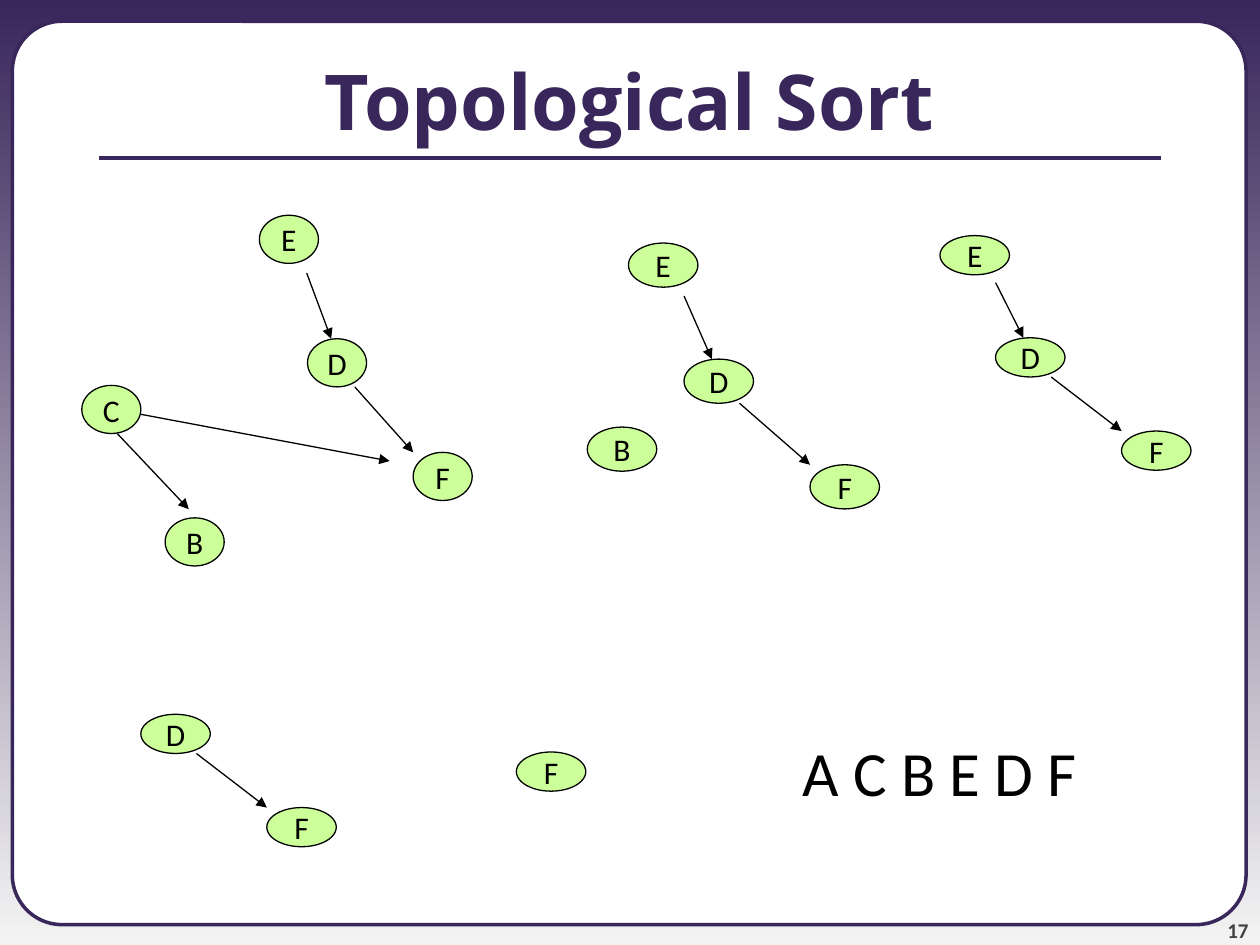
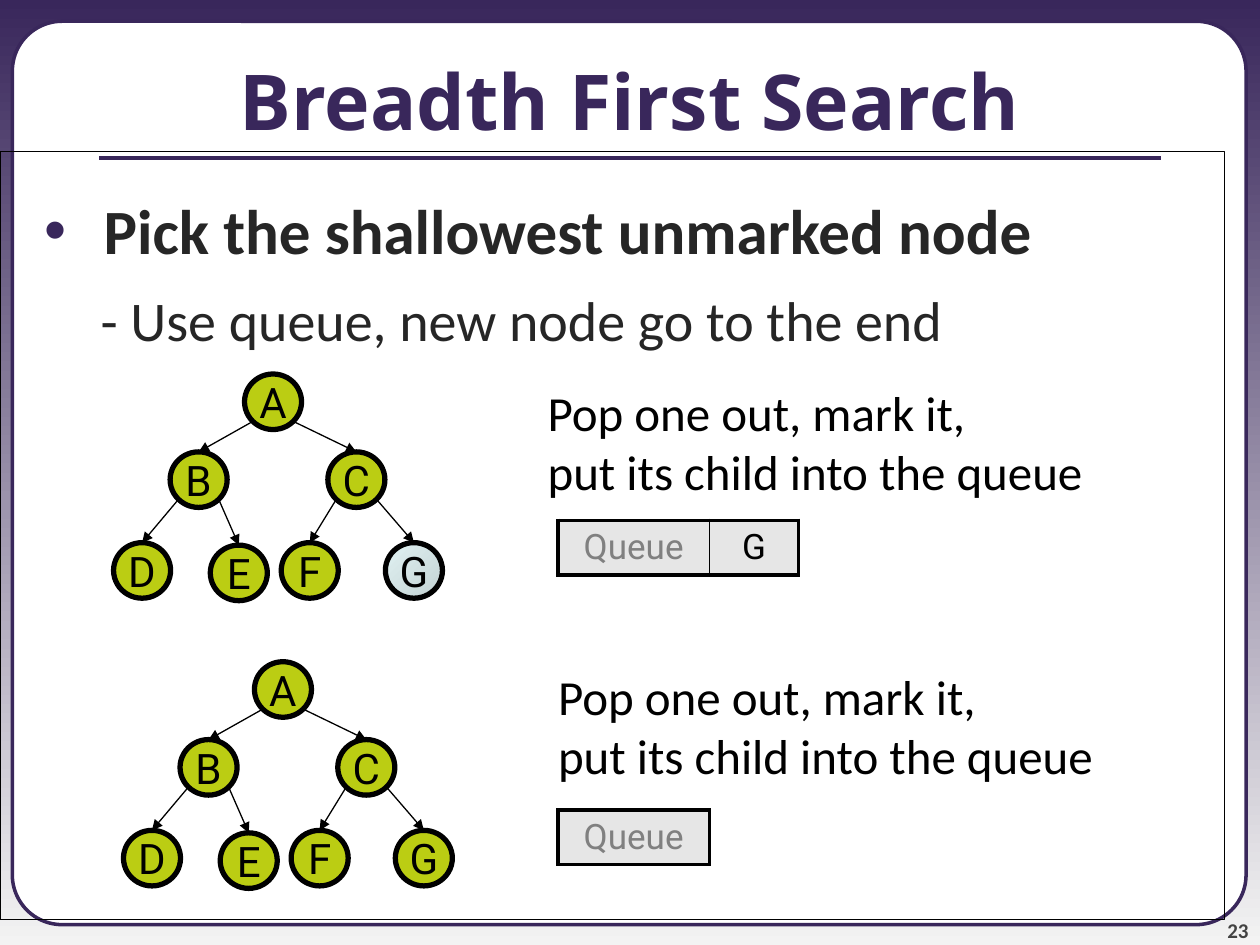
from dataclasses import dataclass

from lxml import etree
from pptx import Presentation
from pptx import util as u
from pptx.dml.color import RGBColor
from pptx.enum import shapes, text
from pptx.oxml import ns


@dataclass(frozen=True)
class Theme:
    purple: str = "39275B"
    pale: str = "F3F3F3"
    white: str = "FFFFFF"
    black: str = "000000"
    ink: str = "262626"
    number: str = "424242"
    grey: str = "808080"
    cell: str = "E6E6E6"
    mint: str = "CCFF99"
    lime: str = "BBCD13"
    waiting: tuple = ("E1F2F3", "C3D2D3")
    title_font: str = "Open Sans"
    body_font: str = "Calibri"
    node_font: str = "Roboto"
    title_size: int = 44
    order_size: int = 36
    sub_size: int = 32
    step_size: int = 28
    tree_size: int = 24
    queue_size: int = 20
    graph_size: int = 18
    number_size: int = 12
    thin: float = 0.75


T = Theme()

# Content: all positions and sizes in centimetres
SORT = {
    "title": "Topological Sort",
    "number": "17",
    "order": ("A C B E D F", (15.93, 14.66, 6.68, 1.8)),
    "graphs": [
        ((1.19, 0.97), {"E": (5.23, 4.34), "F": (8.33, 9.12), "D": (6.2, 6.83),
                        "C": (1.65, 7.77), "B": (3.33, 10.44)}),
        ((1.4, 0.89), {"E": (12.67, 4.9), "F": (16.33, 9.37),
                       "D": (13.79, 7.24), "B": (11.84, 8.61)}),
        ((1.4, 0.79), {"E": (18.95, 4.75), "F": (22.61, 8.69), "D": (20.07, 6.81)}),
        ((1.4, 0.79), {"F": (5.38, 16.28), "D": (2.84, 14.4)}),
        ((1.4, 0.79), {"F": (10.41, 15.16)}),
    ],
}
# Edge ends as fractions of the width and height of each node
SORT_EDGES = [
    ("E", "D", (0.8, 1.2), (0.4, 0)),
    ("D", "F", (0.8, 1), (0, 0)),
    ("C", "B", (0.6, 1), (0.4, -0.18)),
    ("C", "F", (1, 0.6), (-0.4, 0.18)),
]

SEARCH = {
    "title": "Breadth First Search",
    "number": "23",
    "points": ("Pick the shallowest unmarked node",
               "- Use queue, new node go to the end"),
    "step": "Pop one out, mark it,\nput its child into the queue",
    "stages": [
        {"root": (4.93, 7.54), "waiting": "G", "step": (10.79, 7.59),
         "queue": ["Queue", "G"], "queue_top": 10.49},
        {"root": (5.13, 13.34), "waiting": "", "step": (11.0, 13.31),
         "queue": ["Queue"], "queue_top": 16.33},
    ],
}
TREE_SIZE = (1.15, 1.12)
TREE_OFFSETS = {"A": (0, 0), "B": (-1.5, 1.57), "C": (1.68, 1.57),
                "D": (-2.64, 3.4), "E": (-0.69, 3.45),
                "F": (0.74, 3.4), "G": (2.84, 3.4)}
TREE_CHILDREN = {"A": "BC", "B": "DE", "C": "FG"}
LEFT_START, RIGHT_START, TOP_MIDDLE = (0.15, 0.85), (0.85, 0.85), (0.5, 0)
QUEUE_LEFT, QUEUE_COLS, QUEUE_HEIGHT = 11.25, (3.05, 1.8), 1.09


# Helpers
def cm(values):
    return [u.Cm(v) for v in values]


def rgb(value):
    return RGBColor.from_string(value)


def gradient(fill, colours, angle):
    fill.gradient()
    fill.gradient_angle = angle
    for stop, colour in zip(fill.gradient_stops, colours):
        stop.color.rgb = rgb(colour)


def write(tf, words, size, font=T.body_font, colour=T.black, bold=False,
          align=text.PP_ALIGN.LEFT, anchor=text.MSO_ANCHOR.TOP, wrap=True):
    tf.word_wrap = wrap
    tf.vertical_anchor = anchor
    for i, line in enumerate(words.split("\n")):
        p = tf.add_paragraph() if i else tf.paragraphs[0]
        p.alignment = align
        add_run(p, line, size, font, colour, bold)


def add_run(p, words, size, font, colour, bold):
    r = p.add_run()
    r.text = words
    r.font.size, r.font.name, r.font.bold = u.Pt(size), font, bold
    r.font.color.rgb = rgb(colour)


def add_shape(parent, kind, box, fill, line, width):
    sp = parent.add_shape(kind, *cm(box))
    sp.shadow.inherit = False
    if fill is None:
        sp.fill.background()
    elif isinstance(fill, tuple):
        gradient(sp.fill, fill, 315)
    else:
        sp.fill.solid()
        sp.fill.fore_color.rgb = rgb(fill)
    sp.line.color.rgb = rgb(line)
    sp.line.width = u.Pt(width)
    return sp


def add_line(parent, start, end, colour=T.black, width=T.thin, arrow=False):
    c = parent.add_connector(shapes.MSO_CONNECTOR.STRAIGHT, *cm(start + end))
    c.line.color.rgb = rgb(colour)
    c.line.width = u.Pt(width)
    if arrow:
        etree.SubElement(c.line._get_or_add_ln(), ns.qn("a:tailEnd"), type="triangle")
    etree.SubElement(c._element.spPr, ns.qn("a:effectLst"))
    return c


def point(origin, size, fraction):
    return tuple(o + s * f for o, s, f in zip(origin, size, fraction))


def add_graph(slide, size, nodes, edges, style, fills, width, join_top=False):
    """Draw the nodes, then every edge whose two nodes are present."""
    group = slide.shapes.add_group_shape().shapes
    ovals = {}
    for name, origin in nodes.items():
        sp = add_shape(group, shapes.MSO_SHAPE.OVAL, origin + size,
                       fills[name], T.black, width)
        write(sp.text_frame, name, align=text.PP_ALIGN.CENTER,
              anchor=text.MSO_ANCHOR.MIDDLE, wrap=False, **style)
        ovals[name] = sp
    for a, b, leave, reach in edges:
        if a in nodes and b in nodes:
            c = add_line(group, point(nodes[a], size, leave),
                         point(nodes[b], size, reach), arrow=True)
            if join_top:
                c.end_connect(ovals[b], 0)


def add_slide(prs, content):
    """Panel, slide number, rule and title shared by both slides."""
    slide = prs.slides.add_slide(prs.slide_layouts[6])
    panel = add_shape(slide.shapes, shapes.MSO_SHAPE.ROUNDED_RECTANGLE,
                      (0.25, 0.43, 24.87, 18.21), T.white, T.purple, 2)
    panel.adjustments[0] = 0.055
    tf = slide.shapes.add_textbox(*cm((23.06, 17.98, 2.11, 1.02))).text_frame
    tf.margin_left = tf.margin_right = tf.margin_top = tf.margin_bottom = 0
    write(tf, content["number"], T.number_size, colour=T.number, bold=True,
          align=text.PP_ALIGN.RIGHT, anchor=text.MSO_ANCHOR.BOTTOM)
    add_line(slide.shapes, (2, 3.18), (23.4, 3.18), T.purple, 2.25)
    tf = slide.shapes.add_textbox(*cm((0, 0.43, 25.4, 3.18))).text_frame
    write(tf, content["title"], T.title_size, T.title_font, T.purple, True,
          text.PP_ALIGN.CENTER, text.MSO_ANCHOR.MIDDLE)
    return slide


def add_points(slide, points):
    sp = add_shape(slide.shapes, shapes.MSO_SHAPE.RECTANGLE,
                   (0, 3.05, 24.69, 15.49), None, T.black, T.thin)
    tf = sp.text_frame
    tf.margin_top = u.Cm(0.82)
    write(tf, "\n".join(points), T.sub_size, colour=T.ink)
    main, sub = tf.paragraphs
    pPr = main._p.get_or_add_pPr()
    pPr.set("marL", str(u.Cm(1.84)))
    pPr.set("indent", str(u.Cm(-1.2)))
    colour = etree.SubElement(pPr, ns.qn("a:buClr"))
    etree.SubElement(colour, ns.qn("a:srgbClr"), val=T.purple)
    etree.SubElement(pPr, ns.qn("a:buFont"), typeface="Arial")
    etree.SubElement(pPr, ns.qn("a:buChar"), char="•")
    main.runs[0].font.size = u.Pt(T.order_size)
    main.runs[0].font.bold = True
    sub._p.get_or_add_pPr().set("marL", str(u.Cm(1.78)))
    sub.space_before = u.Pt(10)


def add_queue(slide, items, top):
    cols = QUEUE_COLS[:len(items)]
    table = slide.shapes.add_table(
        1, len(items), *cm((QUEUE_LEFT, top, sum(cols), QUEUE_HEIGHT))).table
    table.first_row = table.horz_banding = False
    for i, (item, width) in enumerate(zip(items, cols)):
        table.columns[i].width = u.Cm(width)
        cell = table.cell(0, i)
        inner = {"L": i > 0, "R": i < len(items) - 1, "T": False, "B": False}
        for side, is_inner in inner.items():
            ln = etree.SubElement(cell._tc.get_or_add_tcPr(), ns.qn("a:ln" + side),
                                  w=str(u.Pt(1 if is_inner else 2.25)))
            solid = etree.SubElement(ln, ns.qn("a:solidFill"))
            etree.SubElement(solid, ns.qn("a:srgbClr"), val=T.black)
        cell.fill.solid()
        cell.fill.fore_color.rgb = rgb(T.cell)
        cell.vertical_anchor = text.MSO_ANCHOR.MIDDLE
        p = cell.text_frame.paragraphs[0]
        p.alignment = text.PP_ALIGN.CENTER
        add_run(p, item, T.queue_size, T.node_font, T.black if i else T.grey, False)


# Slides
def build_sort(prs):
    slide = add_slide(prs, SORT)
    words, box = SORT["order"]
    write(slide.shapes.add_textbox(*cm(box)).text_frame, words, T.order_size)
    for size, nodes in SORT["graphs"]:
        add_graph(slide, size, nodes, SORT_EDGES, {"size": T.graph_size},
                  dict.fromkeys(nodes, T.mint), T.thin)


def build_search(prs):
    slide = add_slide(prs, SEARCH)
    add_points(slide, SEARCH["points"])
    edges = [(parent, child, start, TOP_MIDDLE)
             for parent, children in TREE_CHILDREN.items()
             for child, start in zip(children, (LEFT_START, RIGHT_START))]
    for stage in SEARCH["stages"]:
        x, y = stage["root"]
        nodes = {n: (x + dx, y + dy) for n, (dx, dy) in TREE_OFFSETS.items()}
        fills = {n: T.waiting if n == stage["waiting"] else T.lime for n in nodes}
        add_graph(slide, TREE_SIZE, nodes, edges,
                  {"size": T.tree_size, "font": T.node_font}, fills, 3, join_top=True)
        box = slide.shapes.add_textbox(*cm(stage["step"] + (13.69, 2.64)))
        write(box.text_frame, SEARCH["step"], T.step_size)
        add_queue(slide, stage["queue"], stage["queue_top"])


def main():
    prs = Presentation()
    prs.slide_width, prs.slide_height = cm((25.4, 19.05))
    gradient(prs.slide_master.background.fill, (T.purple, T.pale), 270)
    build_sort(prs)
    build_search(prs)
    prs.save("out.pptx")


if __name__ == "__main__":
    main()
